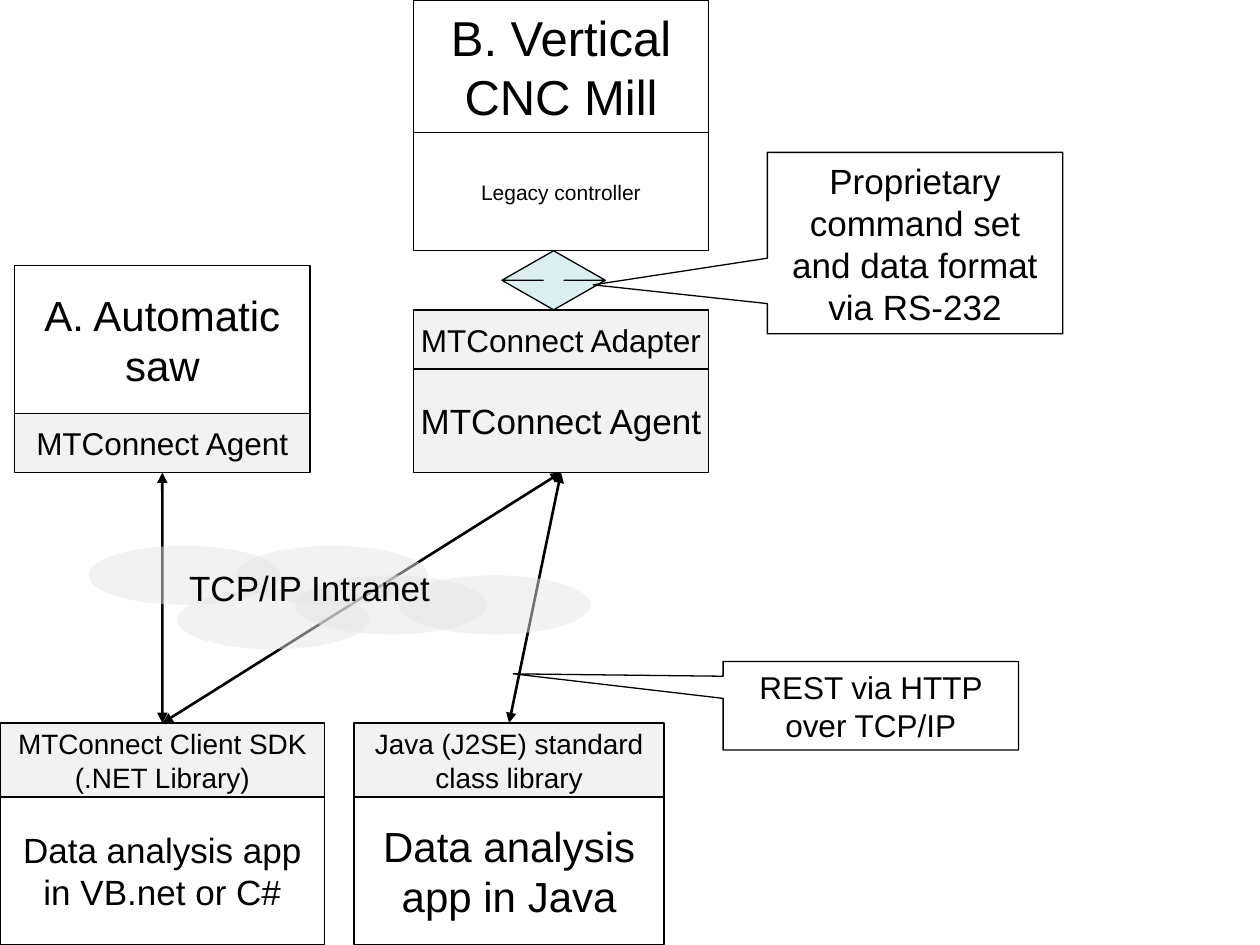
from lxml.etree import SubElement
from pptx import Presentation
from pptx.dml.color import RGBColor
from pptx.enum.shapes import MSO_CONNECTOR as Connector, MSO_SHAPE as Shape
from pptx.enum.text import MSO_ANCHOR as Anchor, PP_ALIGN as Align
from pptx.oxml.ns import qn
from pptx.util import Pt

BLACK = RGBColor(0x00, 0x00, 0x00)
WHITE = RGBColor(0xFF, 0xFF, 0xFF)
GRAY = RGBColor(0xE6, 0xE6, 0xE6)
TEAL = RGBColor(0xBB, 0xE0, 0xE3)

BOX_WIDTH = 168.75
ROW = 33.75
TOP, BOTTOM = 0, 2


def write_text(shape, text, size=20, align=Align.CENTER, anchor=Anchor.MIDDLE, wrap=True):
    """Put formatted text into a shape."""
    frame = shape.text_frame
    frame.text = text
    frame.word_wrap = wrap
    frame.vertical_anchor = anchor
    for para in frame.paragraphs:
        para.alignment = align
        for span in para.runs:
            span.font.name = "Arial"
            span.font.size = Pt(size)
            span.font.color.rgb = BLACK


def add_shape(page, kind, box, fill=None, outlined=True, adjustments=()):
    """Add a preset shape with an optional half-transparent fill."""
    shape = page.shapes.add_shape(kind, *map(Pt, box))
    shape.shadow.inherit = False
    if fill is None:
        shape.fill.background()
    else:
        shape.fill.solid()
        shape.fill.fore_color.rgb = fill
        color = shape.fill._xPr.find(f"{qn('a:solidFill')}/{qn('a:srgbClr')}")
        SubElement(color, qn("a:alpha"), val="50000")
    if outlined:
        shape.line.color.rgb = BLACK
        shape.line.width = Pt(0.75)
    else:
        shape.line.fill.background()
    for index, value in enumerate(adjustments):
        shape.adjustments[index] = value
    return shape


def add_stack(page, left, top, width, rows):
    """Stack labelled boxes downwards and return them."""
    boxes = []
    for text, size, height, fill in rows:
        box = add_shape(page, Shape.RECTANGLE, (left, top, width, height), fill)
        write_text(box, text, size=size, wrap=fill is None)
        boxes.append(box)
        top += height
    return boxes


def add_link(page, start, end):
    """Join the bottom of one box to the top of another with a double arrow."""
    link = page.shapes.add_connector(Connector.STRAIGHT, 0, 0, 0, 0)
    link.begin_connect(start, BOTTOM)
    link.end_connect(end, TOP)
    link.line.color.rgb = BLACK
    link.line.width = Pt(1.5)
    line = link.line._get_or_add_ln()
    for tag in ("a:headEnd", "a:tailEnd"):
        SubElement(line, qn(tag), type="triangle")
    SubElement(link._element.spPr, qn("a:effectLst"))


def add_cloud(page, left, top):
    """Draw the network cloud from overlapping ellipses."""
    for across, down in ((0, 0), (50.6, 25.3), (84.4, 0), (118.1, 16.9), (177.2, 16.9)):
        box = (left + across, top + down, 109.7, ROW)
        add_shape(page, Shape.OVAL, box, GRAY, outlined=False)


def add_label(page, box, text):
    """Add the network name as plain text."""
    label = page.shapes.add_textbox(*map(Pt, box))
    write_text(label, text, align=Align.LEFT, anchor=Anchor.TOP)


def add_callout(page, box, text, size, pointer):
    """Add a rectangular callout whose tip is given by the pointer."""
    callout = add_shape(page, Shape.RECTANGULAR_CALLOUT, box, WHITE, adjustments=pointer)
    write_text(callout, text, size=size)


def build_page(page):
    """Place machines, applications, network and callouts."""
    saw = add_stack(page, 8.4, 151.9, BOX_WIDTH, [
        ("A. Automatic saw", 24, 84.35, None),
        ("MTConnect Agent", 18, ROW, GRAY),
    ])
    add_stack(page, 236.2, 0, BOX_WIDTH, [
        ("B. Vertical CNC Mill", 28, 75.8, None),
        ("Legacy controller", 12, 67.5, None),
    ])
    add_shape(page, Shape.UP_DOWN_ARROW, (286.8, 143.3, 59.1, ROW), TEAL,
              adjustments=(0.5, 0.2))
    mill = add_stack(page, 236.2, 177.1, BOX_WIDTH, [
        ("MTConnect Adapter", 18, ROW, GRAY),
        ("MTConnect Agent", 20, 59.15, GRAY),
    ])
    client = add_stack(page, 0, 413.2, 185.6, [
        ("MTConnect Client SDK\n(.NET Library)", 16, 42.2, GRAY),
        ("Data analysis app in VB.net or C#", 20, 84.35, None),
    ])
    java = add_stack(page, 202.3, 413.2, 177.2, [
        ("Java (J2SE) standard\vclass library", 16, 42.2, GRAY),
        ("Data analysis app in Java", 24, 84.35, None),
    ])
    for machine, app in ((mill, java), (mill, client), (saw, client)):
        add_link(page, machine[-1], app[0])
    add_cloud(page, 50.6, 311.9)
    add_label(page, (101, 320.4, 219, 31.7), "TCP/IP Intranet")
    add_callout(page, (438.5, 87.1, BOX_WIDTH, 103.7),
                "Proprietary command set and data format via RS-232", 20, (-1.09, 0.23))
    add_callout(page, (413.2, 378, BOX_WIDTH, 50.6),
                "REST via HTTP over TCP/IP", 18, (-1.21, -0.36))


def main():
    """Build and save the deck."""
    deck = Presentation()
    deck.slide_width, deck.slide_height = Pt(720), Pt(540)
    build_page(deck.slides.add_slide(deck.slide_layouts[6]))
    deck.save("out.pptx")


if __name__ == "__main__":
    main()
